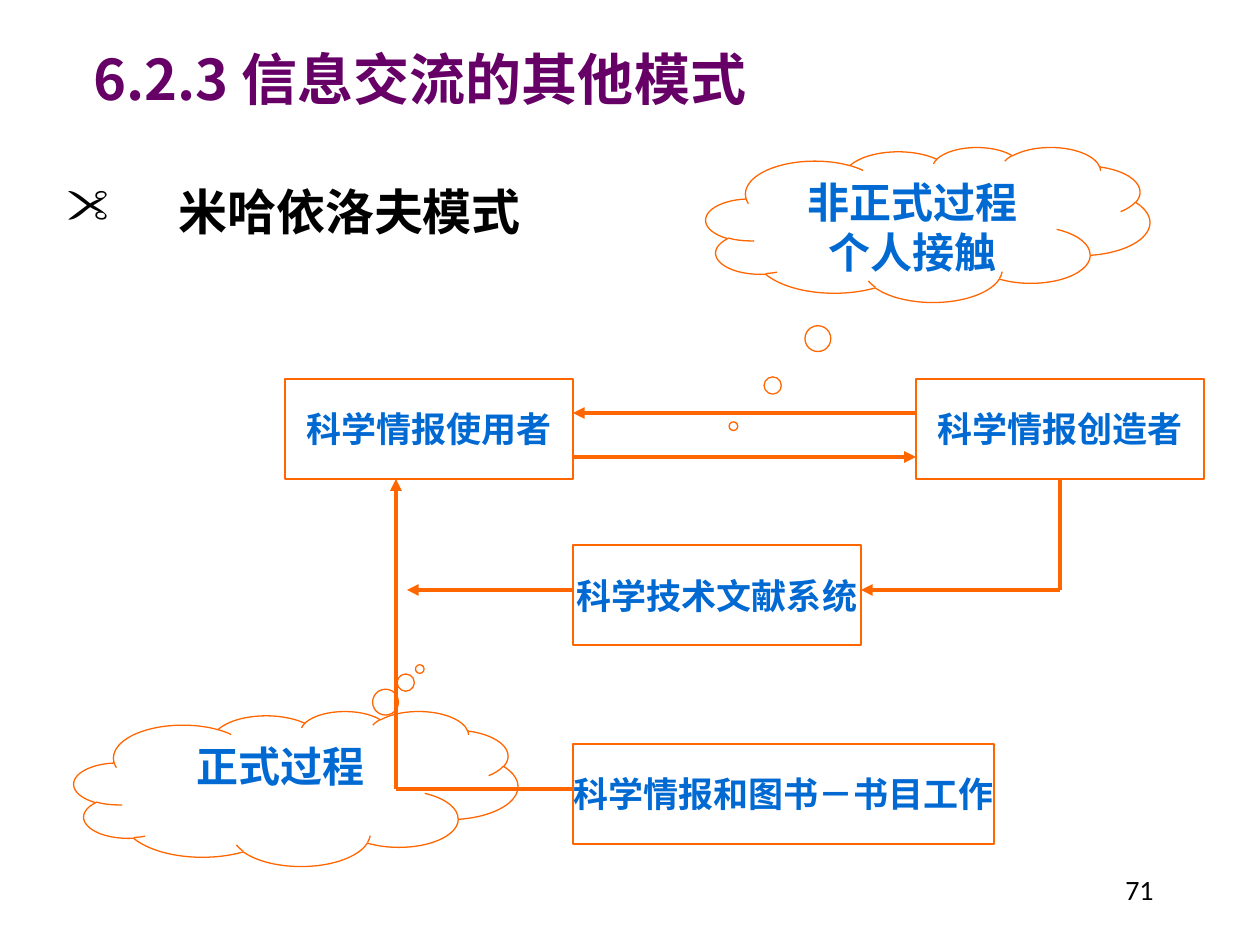
from lxml.etree import SubElement
from pptx import Presentation
from pptx.dml.color import RGBColor
from pptx.enum.shapes import MSO_CONNECTOR, MSO_SHAPE
from pptx.enum.text import MSO_ANCHOR, PP_ALIGN
from pptx.oxml.ns import qn
from pptx.util import Emu, Pt

ORANGE = RGBColor(0xFF, 0x66, 0x00)
BLUE = RGBColor(0x00, 0x69, 0xD2)
PURPLE = RGBColor(0x66, 0x00, 0x66)
BLACK = RGBColor(0x00, 0x00, 0x00)
BODY_FONT = "Calibri"
TITLE_FONT = "Noto Sans CJK SC"

BOX_WIDTH, BOX_HEIGHT = 288, 100
USER_LEFT, CREATOR_LEFT, ACTOR_TOP = 285, 916, 379
SYSTEM_LEFT = USER_LEFT + BOX_WIDTH
SYSTEM_RIGHT = SYSTEM_LEFT + BOX_WIDTH
ACTOR_BOTTOM = ACTOR_TOP + BOX_HEIGHT
CREATOR_CENTRE = CREATOR_LEFT + BOX_WIDTH // 2
CLOUD_WIDTH, CLOUD_HEIGHT = 444, 155
FLOW_X, SYSTEM_Y, LIBRARY_Y = 396, 590, 789


def px(value):
    return Emu(round(value * 914400 / 126))


def write_lines(frame, lines, size, color, bold=True, align=PP_ALIGN.CENTER, font=BODY_FONT):
    for index, line in enumerate(lines):
        paragraph = frame.add_paragraph() if index else frame.paragraphs[0]
        paragraph.alignment = align
        run = paragraph.add_run()
        run.text = line
        run.font.size = Pt(size)
        run.font.bold = bold
        run.font.name = font
        run.font.color.rgb = color


def add_text(slide, bounds, text, size, color, **style):
    box = slide.shapes.add_textbox(*map(px, bounds))
    box.text_frame.word_wrap = True
    write_lines(box.text_frame, [text], size, color, **style)
    return box.text_frame


def add_scissors_bullet(paragraph):
    properties = paragraph._p.get_or_add_pPr()
    properties.set("marL", str(px(112)))
    properties.set("indent", str(-px(112)))
    SubElement(properties, qn("a:buFont"), typeface="Wingdings")
    SubElement(properties, qn("a:buChar"), char='"')


def add_outline(slide, kind, bounds):
    shape = slide.shapes.add_shape(kind, *map(px, bounds))
    shape.shadow.inherit = False
    shape.fill.background()
    shape.line.color.rgb = ORANGE
    shape.line.width = Pt(0.75)
    return shape


def add_box(slide, left, top, text, width=BOX_WIDTH):
    shape = add_outline(slide, MSO_SHAPE.RECTANGLE, (left, top, width, BOX_HEIGHT))
    shape.text_frame.word_wrap = False
    shape.text_frame.vertical_anchor = MSO_ANCHOR.MIDDLE
    write_lines(shape.text_frame, [text], 20, BLUE)
    return shape


def add_cloud(slide, left, top, pointer, lines):
    shape = add_outline(slide, MSO_SHAPE.CLOUD_CALLOUT, (left, top, CLOUD_WIDTH, CLOUD_HEIGHT))
    shape.adjustments[0], shape.adjustments[1] = pointer
    shape.text_frame.vertical_anchor = MSO_ANCHOR.TOP
    write_lines(shape.text_frame, lines, 24, BLUE)


def add_flow(slide, start, end, arrow=True):
    connector = slide.shapes.add_connector(MSO_CONNECTOR.STRAIGHT, *map(px, start + end))
    connector.line.color.rgb = ORANGE
    connector.line.width = Pt(2.25)
    if arrow:
        SubElement(connector.line._get_or_add_ln(), qn("a:tailEnd"), type="triangle")
    SubElement(connector._element.spPr, qn("a:effectLst"))
    return connector


def main():
    presentation = Presentation()
    presentation.slide_width, presentation.slide_height = px(1260), px(945)
    slide = presentation.slides.add_slide(presentation.slide_layouts[6])

    heading = add_text(slide, (54, 175, 1134, 81), "米哈依洛夫模式", 28, BLACK, align=PP_ALIGN.LEFT)
    add_scissors_bullet(heading.paragraphs[0])
    add_text(slide, (1037, 866, 129, 63), "71", 16, BLACK, bold=False, align=PP_ALIGN.RIGHT)

    add_box(slide, USER_LEFT, ACTOR_TOP, "科学情报使用者")
    creator = add_box(slide, CREATOR_LEFT, ACTOR_TOP, "科学情报创造者")
    add_box(slide, SYSTEM_LEFT, 545, "科学技术文献系统")
    add_box(slide, SYSTEM_LEFT, 744, "科学情报和图书－书目工作", 421)

    add_cloud(slide, 706, 147, (-0.438, 1.301), ["非正式过程", "个人接触"])
    add_cloud(slide, 74, 711, (0.279, -0.771), ["正式过程"])

    add_flow(slide, (SYSTEM_LEFT, 457), (CREATOR_LEFT, 457))
    add_flow(slide, (CREATOR_LEFT, 413), (SYSTEM_LEFT, 413))
    add_flow(slide, (SYSTEM_LEFT, LIBRARY_Y), (FLOW_X, LIBRARY_Y), arrow=False)
    add_flow(slide, (FLOW_X, LIBRARY_Y), (FLOW_X, ACTOR_BOTTOM))
    descent = add_flow(slide, (CREATOR_CENTRE, ACTOR_BOTTOM), (CREATOR_CENTRE, SYSTEM_Y), arrow=False)
    descent.begin_connect(creator, 2)
    add_flow(slide, (CREATOR_CENTRE, SYSTEM_Y), (SYSTEM_RIGHT, SYSTEM_Y))
    add_flow(slide, (SYSTEM_LEFT, SYSTEM_Y), (407, SYSTEM_Y))

    title = add_text(slide, (29, 39, 782, 79), "6.2.3 信息交流的其他模式", 32, PURPLE, font=TITLE_FONT)
    title.vertical_anchor = MSO_ANCHOR.MIDDLE

    presentation.save("out.pptx")


if __name__ == "__main__":
    main()
